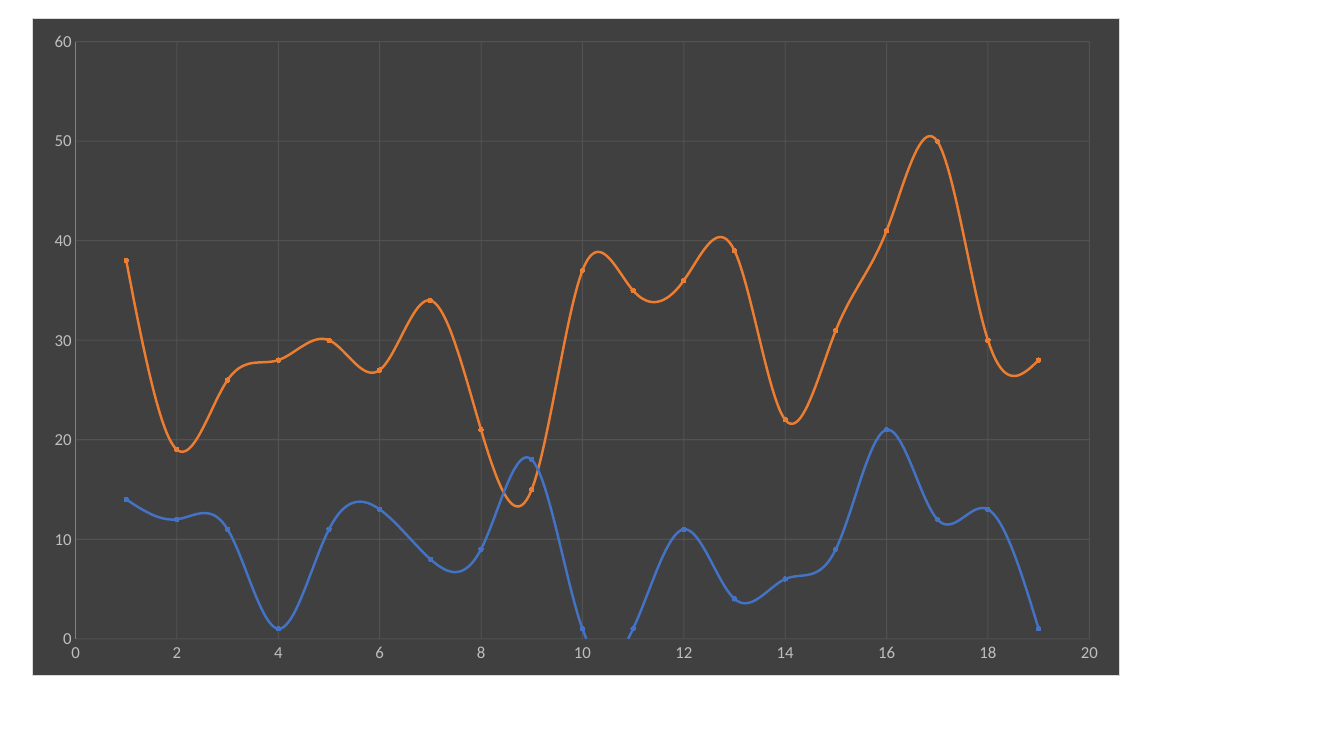
"""Build a slide with a dark smooth scatter chart of two series."""
from typing import NamedTuple

import lxml.etree
import pptx
import pptx.chart.data
import pptx.dml.color
import pptx.enum.chart
import pptx.oxml
import pptx.oxml.ns
import pptx.util
from pptx.util import Inches

qn = pptx.oxml.ns.qn


class Curve(NamedTuple):
    name: str
    color: str
    marker_color: str
    values: list[int]


class AxisStyle(NamedTuple):
    maximum: int
    step: int
    line_color: str | None


CURVES = [
    Curve("Series 1", "4472C4", "8FAADC",
          [14, 12, 11, 1, 11, 13, 8, 9, 18, 1, 1, 11, 4, 6, 9, 21, 12, 13, 1]),
    Curve("Series 2", "ED7D31", "F4B183",
          [38, 19, 26, 28, 30, 27, 34, 21, 15, 37, 35, 36, 39, 22, 31, 41, 50, 30, 28]),
]
HORIZONTAL = AxisStyle(20, 2, None)
VERTICAL = AxisStyle(60, 10, "808080")


def rgb(color: str) -> pptx.dml.color.RGBColor:
    return pptx.dml.color.RGBColor.from_string(color)


def style_line(line, color: str, width: float) -> None:
    line.color.rgb = rgb(color)
    line.width = pptx.util.Pt(width)


def style_axis(axis, style: AxisStyle) -> None:
    axis.minimum_scale = 0
    axis.maximum_scale = style.maximum
    axis.major_unit = style.step
    axis.major_tick_mark = pptx.enum.chart.XL_TICK_MARK.NONE
    axis.minor_tick_mark = pptx.enum.chart.XL_TICK_MARK.NONE
    axis.has_title = False
    labels = axis.tick_labels.font
    labels.name = "Calibri"
    labels.size = pptx.util.Pt(12)
    labels.color.rgb = rgb("BFBFBF")
    if style.line_color:
        style_line(axis.format.line, style.line_color, 0.75)
    else:
        axis.format.line.fill.background()
    axis.has_major_gridlines = True
    grid = axis.major_gridlines
    style_line(grid.format.line, "595959", 0.75)
    for grid_color in grid._xAx.findall(f"{qn('c:majorGridlines')}//{qn('a:srgbClr')}"):
        lxml.etree.SubElement(grid_color, qn("a:alpha")).set("val", "75000")


def style_curve(series, curve: Curve) -> None:
    style_line(series.format.line, curve.color, 1.75)
    marker = series.marker
    marker.style = pptx.enum.chart.XL_MARKER_STYLE.CIRCLE
    marker.size = 3
    marker.format.fill.solid()
    marker.format.fill.fore_color.rgb = rgb(curve.marker_color)
    style_line(marker.format.line, curve.color, 0.75)
    series._element.get_or_add_smooth().set("val", "1")


def style_background(chart, fill: str, border: str) -> None:
    background = pptx.oxml.parse_xml(
        f'<c:spPr {pptx.oxml.ns.nsdecls("c", "a")}>'
        f'<a:solidFill><a:srgbClr val="{fill}"/></a:solidFill>'
        f'<a:ln w="{pptx.util.Pt(0.75)}"><a:solidFill><a:srgbClr val="{border}"/>'
        '</a:solidFill></a:ln></c:spPr>')
    chart._chartSpace.find(qn("c:chart")).addnext(background)


def add_curves_chart(slide) -> None:
    data = pptx.chart.data.XyChartData()
    for curve in CURVES:
        points = data.add_series(curve.name)
        for x, y in enumerate(curve.values, start=1):
            points.add_data_point(x, y)
    chart = slide.shapes.add_chart(
        pptx.enum.chart.XL_CHART_TYPE.XY_SCATTER_SMOOTH,
        Inches(0.32), Inches(0.18), Inches(10.79), Inches(6.53), data).chart
    chart.has_title = False
    chart.has_legend = False
    chart.font.name = "Calibri"
    chart.font.size = pptx.util.Pt(10)
    chart.font.color.rgb = rgb("000000")
    chart.plots[0].vary_by_categories = False
    style_background(chart, "404040", "D9D9D9")
    style_axis(chart.category_axis, HORIZONTAL)
    style_axis(chart.value_axis, VERTICAL)
    for series, curve in zip(chart.plots[0].series, CURVES):
        style_curve(series, curve)


def main() -> None:
    deck = pptx.Presentation()
    deck.slide_width, deck.slide_height = Inches(13.33), Inches(7.5)
    add_curves_chart(deck.slides.add_slide(deck.slide_layouts[6]))
    deck.save("out.pptx")


main()
